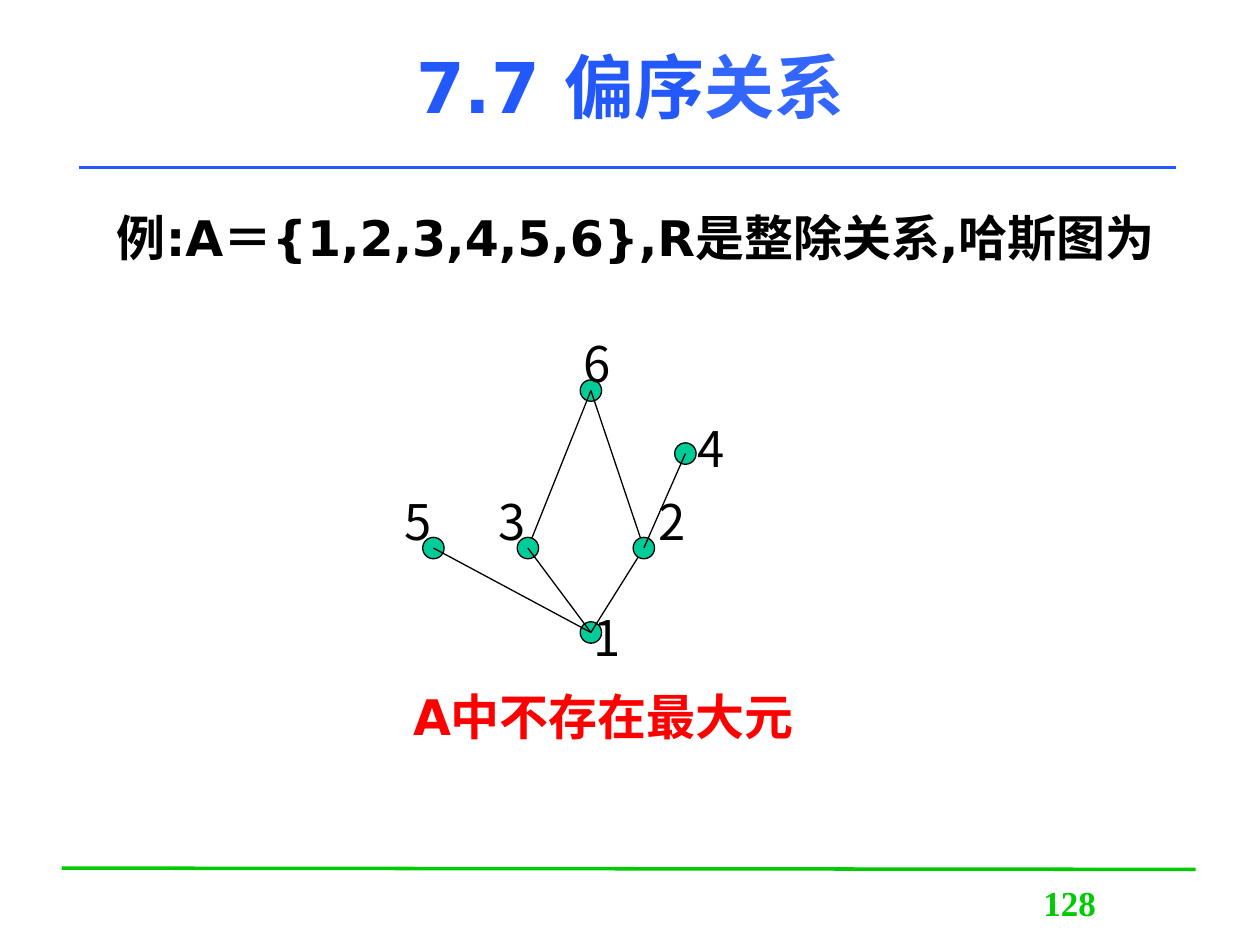
from dataclasses import dataclass

from lxml import etree
from pptx import Presentation
from pptx.dml.color import RGBColor
from pptx.enum.shapes import MSO_CONNECTOR, MSO_SHAPE
from pptx.enum.text import MSO_ANCHOR, MSO_AUTO_SIZE, PP_ALIGN
from pptx.oxml.ns import qn
from pptx.shapes.shapetree import GroupShapes, SlideShapes
from pptx.text.text import TextFrame
from pptx.util import Inches, Pt

BLACK = RGBColor(0x00, 0x00, 0x00)
RED = RGBColor(0xFF, 0x00, 0x00)
GREEN = RGBColor(0x00, 0xCB, 0x00)
TEAL = RGBColor(0x00, 0xCC, 0x99)
BLUE = RGBColor(0x23, 0x59, 0xFB)
LIGHT_BLUE = RGBColor(0x33, 0x66, 0xFF)

STRAIGHT = MSO_CONNECTOR.STRAIGHT
OVAL = MSO_SHAPE.OVAL
CENTER, LEFT = PP_ALIGN.CENTER, PP_ALIGN.LEFT
MIDDLE, TOP = MSO_ANCHOR.MIDDLE, MSO_ANCHOR.TOP
NO_AUTOFIT = MSO_AUTO_SIZE.NONE

LATIN_FONT = "DejaVu Sans"
CHINESE_FONT = "Noto Sans CJK SC"
NUMBER_FONT = "Times New Roman"
DOT_SIZE = 0.17
LABEL_WIDTH, LABEL_HEIGHT = 0.4, 0.57


@dataclass(frozen=True)
class TextStyle:
    size: int
    color: RGBColor
    name: str = LATIN_FONT
    bold: bool = True
    alignment: PP_ALIGN = LEFT
    anchor: MSO_ANCHOR = TOP
    wrap: bool = True
    margin: float = 0
    indent: float = 0


@dataclass(frozen=True)
class Box:
    left: float
    top: float
    width: float
    height: float


@dataclass(frozen=True)
class Node:
    x: float
    y: float
    label_left: float
    label_top: float


@dataclass(frozen=True)
class Layer:
    dots: str
    edges: tuple[str, ...]


TITLE = TextStyle(40, BLUE, alignment=CENTER, anchor=MIDDLE)
EXAMPLE = TextStyle(28, BLACK, margin=0.38, indent=-0.38)
CONCLUSION = TextStyle(28, RED, margin=2.43)
LABEL = TextStyle(28, BLACK, CHINESE_FONT, bold=False, wrap=False)
PAGE_NUMBER = TextStyle(20, GREEN, NUMBER_FONT, alignment=CENTER)

NODES = {
    "1": Node(4.69, 5.02, 4.61, 4.77),
    "2": Node(5.11, 4.35, 5.13, 3.85),
    "5": Node(3.44, 4.35, 3.11, 3.85),
    "3": Node(4.19, 4.35, 3.86, 3.85),
    "4": Node(5.44, 3.6, 5.44, 3.27),
    "6": Node(4.69, 3.1, 4.53, 2.6),
}
LAYERS = (
    Layer("6541", ("63", "62", "21")),
    Layer("23", ("42", "31", "51")),
)


def write_text(frame: TextFrame, parts: list[tuple[str, RGBColor]], style: TextStyle) -> None:
    frame_format = {
        "word_wrap": style.wrap,
        "auto_size": NO_AUTOFIT,
        "vertical_anchor": style.anchor,
    }
    for attribute, value in frame_format.items():
        setattr(frame, attribute, value)
    paragraph = frame.paragraphs[0]
    paragraph.alignment = style.alignment
    if style.margin:
        properties = paragraph._p.get_or_add_pPr()
        properties.set("marL", str(Inches(style.margin)))
        properties.set("indent", str(Inches(style.indent)))
    for text, color in parts:
        run = paragraph.add_run()
        run.text = text
        font_format = {"name": style.name, "size": Pt(style.size), "bold": style.bold}
        for attribute, value in font_format.items():
            setattr(run.font, attribute, value)
        run.font.color.rgb = color
        east_asian = etree.SubElement(run._r.get_or_add_rPr(), qn("a:ea"))
        east_asian.set("typeface", CHINESE_FONT)


def add_text(shapes: SlideShapes | GroupShapes, text: str, box: Box, style: TextStyle) -> None:
    shape = shapes.add_textbox(
        Inches(box.left), Inches(box.top), Inches(box.width), Inches(box.height)
    )
    write_text(shape.text_frame, [(text, style.color)], style)


def add_line(
    shapes: SlideShapes | GroupShapes,
    start: tuple[float, float],
    end: tuple[float, float],
    color: RGBColor,
    width: float,
) -> None:
    connector = shapes.add_connector(STRAIGHT, *map(Inches, start + end))
    connector.line.color.rgb = color
    connector.line.width = Pt(width)
    etree.SubElement(connector._element.spPr, qn("a:effectLst"))


def add_dot(shapes: GroupShapes, node: Node) -> None:
    dot = shapes.add_shape(
        OVAL,
        Inches(node.x - DOT_SIZE / 2),
        Inches(node.y - DOT_SIZE / 2),
        Inches(DOT_SIZE),
        Inches(DOT_SIZE),
    )
    dot.shadow.inherit = False
    dot.fill.solid()
    dot.fill.fore_color.rgb = TEAL
    dot.line.color.rgb = BLACK
    dot.line.width = Pt(0.75)


def add_hasse_diagram(shapes: GroupShapes) -> None:
    for layer in LAYERS:
        for name in layer.dots:
            add_dot(shapes, NODES[name])
        for upper, lower in layer.edges:
            start, end = NODES[upper], NODES[lower]
            add_line(shapes, (start.x, start.y), (end.x, end.y), BLACK, 0.75)
    for name, node in NODES.items():
        box = Box(node.label_left, node.label_top, LABEL_WIDTH, LABEL_HEIGHT)
        add_text(shapes, name, box, LABEL)


def main() -> None:
    presentation = Presentation()
    presentation.slide_width = Inches(10)
    presentation.slide_height = Inches(7.5)
    slide = presentation.slides.add_slide(presentation.slide_layouts[5])
    shapes = slide.shapes

    title = shapes.title
    title_place = {"left": 0.75, "top": 0.05, "width": 8.5, "height": 1.25}
    for attribute, value in title_place.items():
        setattr(title, attribute, Inches(value))
    write_text(title.text_frame, [("7.7 偏序", BLUE), ("关系", LIGHT_BLUE)], TITLE)

    add_line(shapes, (0.49, 6.89), (9.49, 6.9), GREEN, 2)
    add_line(shapes, (0.63, 1.33), (9.33, 1.33), BLUE, 2)
    add_text(shapes, "128", Box(7.7, 6.95, 1.58, 0.5), PAGE_NUMBER)
    add_text(
        shapes,
        "例:A＝{1,2,3,4,5,6},R是整除关系,哈斯图为",
        Box(0.83, 1.6, 8.5, 1.1),
        EXAMPLE,
    )
    add_hasse_diagram(shapes.add_group_shape().shapes)
    add_text(shapes, "A中不存在最大元", Box(0.75, 5.4, 8.17, 0.57), CONCLUSION)

    presentation.save("out.pptx")


if __name__ == "__main__":
    main()
